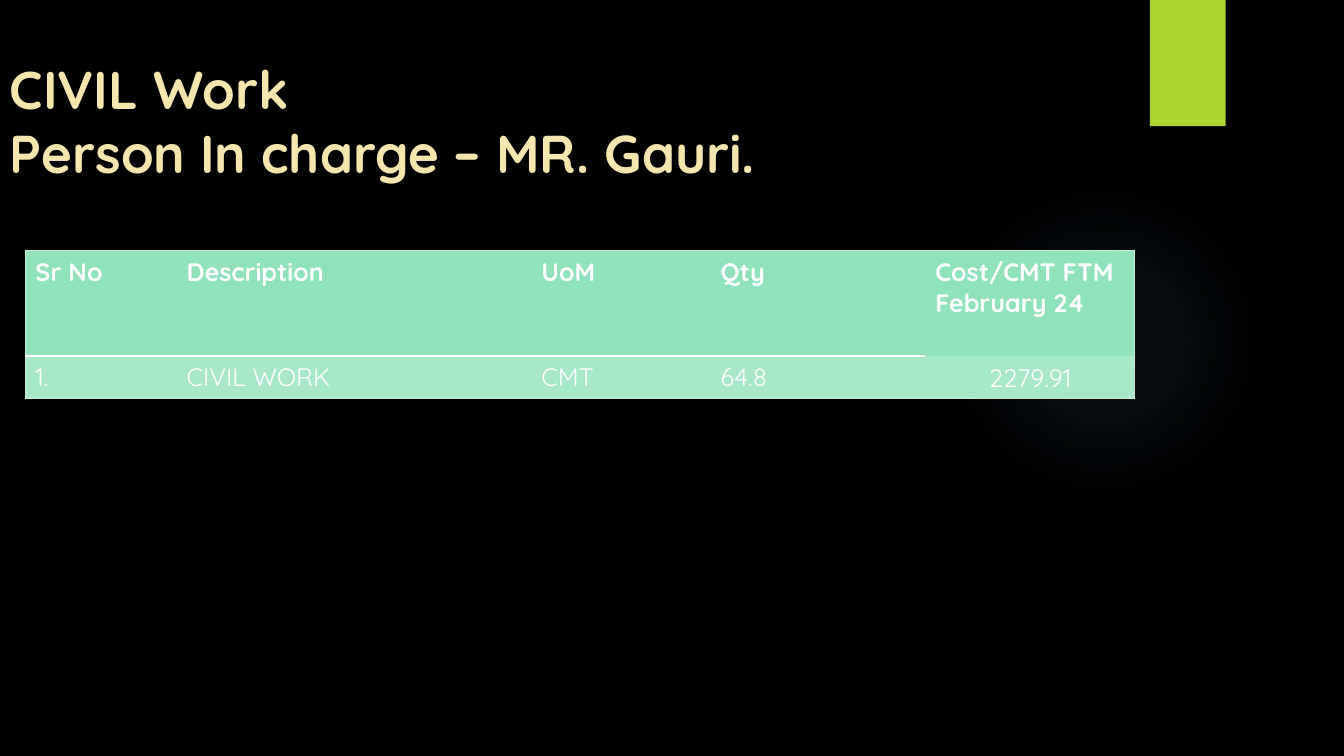
from pptx import Presentation
from pptx.dml.color import RGBColor
from pptx.enum import shapes, text
from pptx.oxml import ns, parse_xml
from pptx.util import Cm, Pt

FONT = "Quicksand"
WHITE, EDGE = "FFFFFF", "C6ECD6"
HEADER_FILL, BODY_FILL = "8FE2BA", "A6E8C8"
HEADER = ["Sr No", "Description", "UoM", "Qty", "Cost/CMT FTM February 24"]
BODY = ["1.", "CIVIL WORK", "CMT", "64.8", "2279.91"]
COL_WIDTHS = [3.81, 8.94, 4.52, 5.41, 5.28]
ROW_HEIGHTS = [2.65, 1.07]


def rgb(value):
    return RGBColor.from_string(value)


def set_font(p, size, color, bold=False):
    p.font.name, p.font.size, p.font.bold = FONT, Pt(size), bold
    p.font.color.rgb = rgb(color)


def add_block(s, kind, left, top, width, height, fill):
    sp = s.shapes.add_shape(kind, Cm(left), Cm(top), Cm(width), Cm(height))
    sp.shadow.inherit = False
    sp.line.fill.background()
    sp.fill.solid()
    sp.fill.fore_color.rgb = rgb(fill)
    return sp


def add_glow(s, left, top, size, color, stops):
    """Circle that fades outwards; stops are (position, opacity) in percent."""
    sp = add_block(s, shapes.MSO_SHAPE.OVAL, left, top, size, size, color)
    gs = "".join(
        f'<a:gs pos="{pos * 1000}"><a:srgbClr val="{color}">'
        f'<a:alpha val="{alpha * 1000}"/></a:srgbClr></a:gs>'
        for pos, alpha in stops)
    grad = parse_xml(
        f'<a:gradFill {ns.nsdecls("a")}><a:gsLst>{gs}</a:gsLst><a:path path="circle">'
        '<a:fillToRect l="50000" t="50000" r="50000" b="50000"/></a:path></a:gradFill>')
    solid = sp._element.spPr.find(ns.qn("a:solidFill"))
    solid.getparent().replace(solid, grad)


def add_title(s, left, top, width, height, lines):
    tf = s.shapes.add_textbox(Cm(left), Cm(top), Cm(width), Cm(height)).text_frame
    tf.word_wrap = True
    tf.vertical_anchor = text.MSO_ANCHOR.BOTTOM
    p = tf.paragraphs[0]
    p.text = "\v".join(lines)
    set_font(p, 38, "F5E6AD", bold=True)


def set_borders(cell, borders):
    """borders maps a side (L, R, T, B) to (colour, points); other sides get no line."""
    tc_pr = cell._tc.get_or_add_tcPr()
    for i, side in enumerate("LRTB"):
        color, width = borders.get(side, (None, 0))
        fill = (f'<a:solidFill><a:srgbClr val="{color}"/></a:solidFill>'
                if color else "<a:noFill/>")
        tc_pr.insert(i, parse_xml(
            f'<a:ln{side} {ns.nsdecls("a")} w="{Pt(width)}">{fill}</a:ln{side}>'))


def add_cost_table(s, left, top):
    frame = s.shapes.add_table(2, len(HEADER), Cm(left), Cm(top),
                               Cm(sum(COL_WIDTHS)), Cm(sum(ROW_HEIGHTS)))
    table = frame.table
    table.horz_banding = False
    for col, width in zip(table.columns, COL_WIDTHS):
        col.width = Cm(width)
    for row, height in zip(table.rows, ROW_HEIGHTS):
        row.height = Cm(height)

    edge, last = (EDGE, 0.75), len(HEADER) - 1
    for r, values in enumerate((HEADER, BODY)):
        for c, value in enumerate(values):
            cell = table.cell(r, c)
            cell.text = value
            set_font(cell.text_frame.paragraphs[0], 18, WHITE, bold=r == 0)
            cell.fill.solid()
            cell.fill.fore_color.rgb = rgb(BODY_FILL if r else HEADER_FILL)
            borders = {"B" if r else "T": edge}
            if c == 0:
                borders["L"] = edge
            if c == last:
                borders["R"] = edge
            elif r == 0:
                borders["B"] = (WHITE, 2.25)
            else:
                borders["T"] = (WHITE, 2.25)
            set_borders(cell, borders)

    # The cost figure is centred
    cost = table.cell(1, last)
    cost.vertical_anchor = text.MSO_ANCHOR.MIDDLE
    cost.margin_left = cost.margin_right = cost.margin_top = Cm(0.03)
    cost.margin_bottom = 0
    cost.text_frame.paragraphs[0].alignment = text.PP_ALIGN.CENTER


def main():
    prs = Presentation()
    prs.slide_width, prs.slide_height = Cm(33.87), Cm(19.05)
    s = prs.slides.add_slide(prs.slide_layouts[6])

    # Backdrop
    s.background.fill.solid()
    s.background.fill.fore_color.rgb = rgb("000000")
    add_glow(s, 23.9, 4.65, 7.82, "7AC4F0", [(0, 7), (36, 6), (69, 0), (100, 0)])
    add_block(s, shapes.MSO_SHAPE.RECTANGLE, 28.98, 0, 1.91, 3.18, "ACD433")

    # Content
    add_title(s, 0, 0.25, 27.05, 4.52,
              ["CIVIL Work ", "Person In charge – MR. Gauri."])
    add_cost_table(s, 0.64, 6.32)

    prs.save("out.pptx")


if __name__ == "__main__":
    main()
